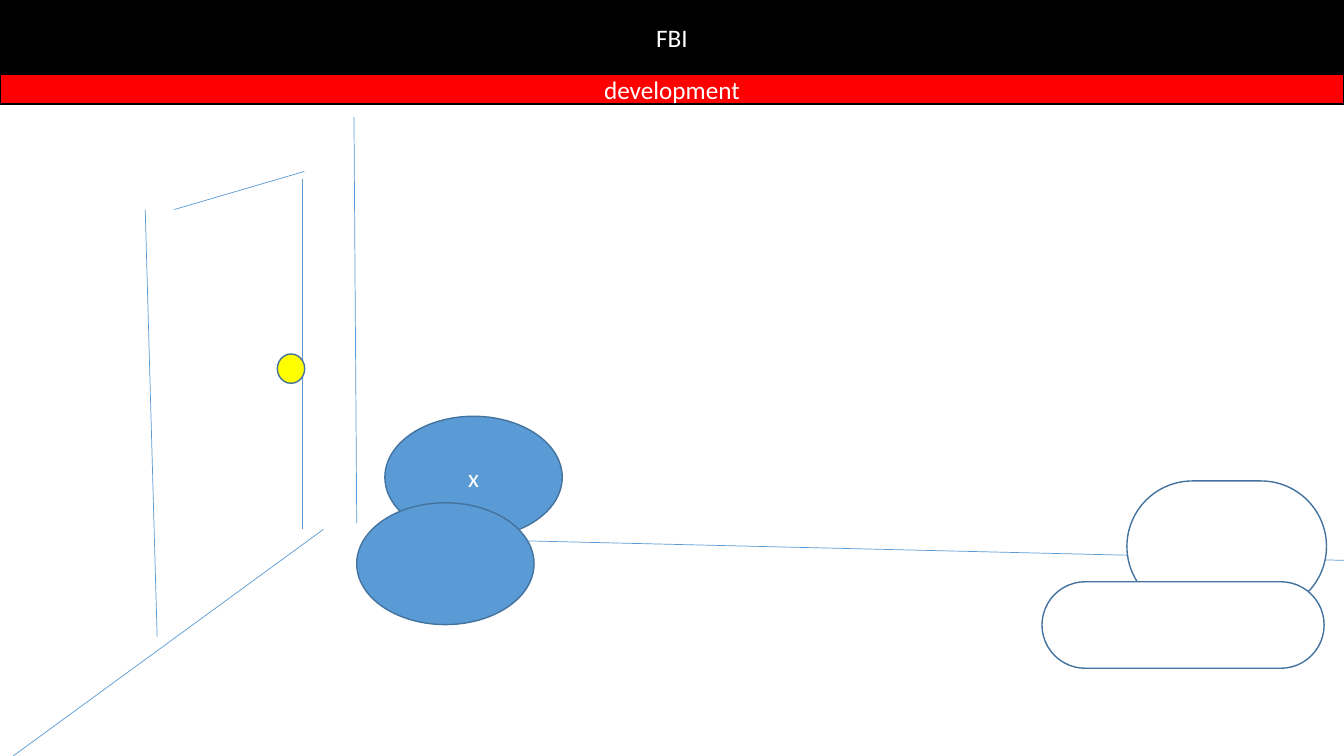
from pptx import Presentation
from pptx.dml.color import RGBColor
from pptx.enum.shapes import MSO_CONNECTOR, MSO_SHAPE as Shape
from pptx.enum.text import MSO_ANCHOR, PP_ALIGN
from pptx.oxml.ns import qn
from pptx.util import Cm, Pt
from lxml.etree import SubElement

SLIDE_W, SLIDE_H = 33.87, 19.05

THEME = {
    "black": "000000", "red": "FF0000", "white": "FFFFFF", "yellow": "FFFF00",
    "blue": "5B9BD5", "outline": "43739E",
    "font": "Calibri", "size": 18, "border": 1, "hairline": 0.5,
}

# Header bands, stacked from the top: text, height, fill
BANDS = [("FBI", 1.88, "black"), ("development", 0.74, "red")]

# Room and door edges: start x, y, end x, y
ROOM_EDGES = [
    (8.92, 2.95, 8.99, 13.18),
    (8.15, 13.34, 0.33, SLIDE_H),
    (9.53, 13.54, SLIDE_W, 14.12),
]
DOOR_EDGES = [
    (3.66, 5.28, 3.96, 16.05),
    (4.39, 5.28, 7.67, 4.32),
    (7.62, 4.52, 7.62, 13.34),
]

# Furnishings: outline, left, top, width, height, fill, text
FURNISHINGS = [
    (Shape.OVAL, 6.99, 8.92, 0.69, 0.74, "yellow", ""),
    (Shape.OVAL, 9.7, 10.49, 4.47, 3.07, "blue", "x"),
    (Shape.OVAL, 8.99, 12.67, 4.47, 3.07, "blue", ""),
    (Shape.ROUNDED_RECTANGLE, 28.4, 12.12, 5.03, 3.3, "white", ""),
    (Shape.ROUNDED_RECTANGLE, 26.26, 14.66, 7.11, 2.18, "white", ""),
]


def color(name):
    return RGBColor.from_string(THEME[name])


def write(frame, text, *, size=THEME["size"], ink="white", align=PP_ALIGN.CENTER):
    frame.word_wrap = True
    frame.vertical_anchor = MSO_ANCHOR.MIDDLE
    paragraph = frame.paragraphs[0]
    paragraph.alignment = align
    run = paragraph.add_run()
    run.text = text
    run.font.name = THEME["font"]
    run.font.size = Pt(size)
    run.font.color.rgb = color(ink)


def add_form(slide, outline, box, fill, text="", border="outline"):
    form = slide.shapes.add_shape(outline, *map(Cm, box))
    form.shadow.inherit = False
    form.fill.solid()
    form.fill.fore_color.rgb = color(fill)
    form.line.color.rgb = color(border)
    form.line.width = Pt(THEME["border"])
    if outline == Shape.ROUNDED_RECTANGLE:
        form.adjustments[0] = 0.5
    if text:
        write(form.text_frame, text)


def add_edge(slide, ends):
    edge = slide.shapes.add_connector(MSO_CONNECTOR.STRAIGHT, *map(Cm, ends))
    edge.line.color.rgb = color("blue")
    edge.line.width = Pt(THEME["hairline"])
    SubElement(edge._element.spPr, qn("a:effectLst"))


def main():
    deck = Presentation()
    deck.slide_width, deck.slide_height = Cm(SLIDE_W), Cm(SLIDE_H)
    slide = deck.slides.add_slide(deck.slide_layouts[6])

    # Header
    top = 0
    for text, height, fill in BANDS:
        add_form(slide, Shape.RECTANGLE, (0, top, SLIDE_W, height), fill, text, "black")
        top += height

    # Room and door
    for ends in ROOM_EDGES + DOOR_EDGES:
        add_edge(slide, ends)

    # Door knob, blue ovals and white cushions
    for outline, *box, fill, text in FURNISHINGS:
        add_form(slide, outline, box, fill, text)

    deck.save("out.pptx")


if __name__ == "__main__":
    main()
